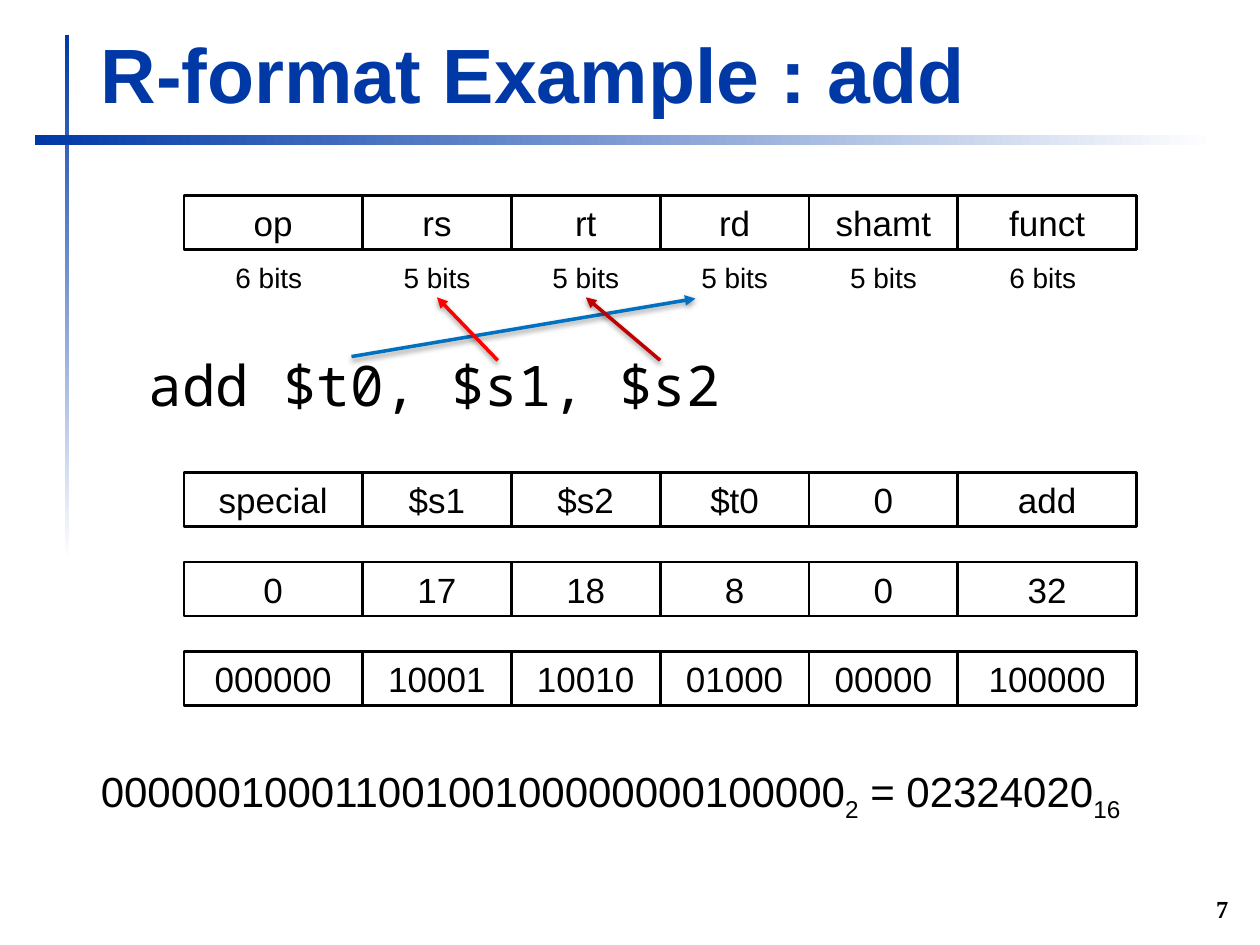
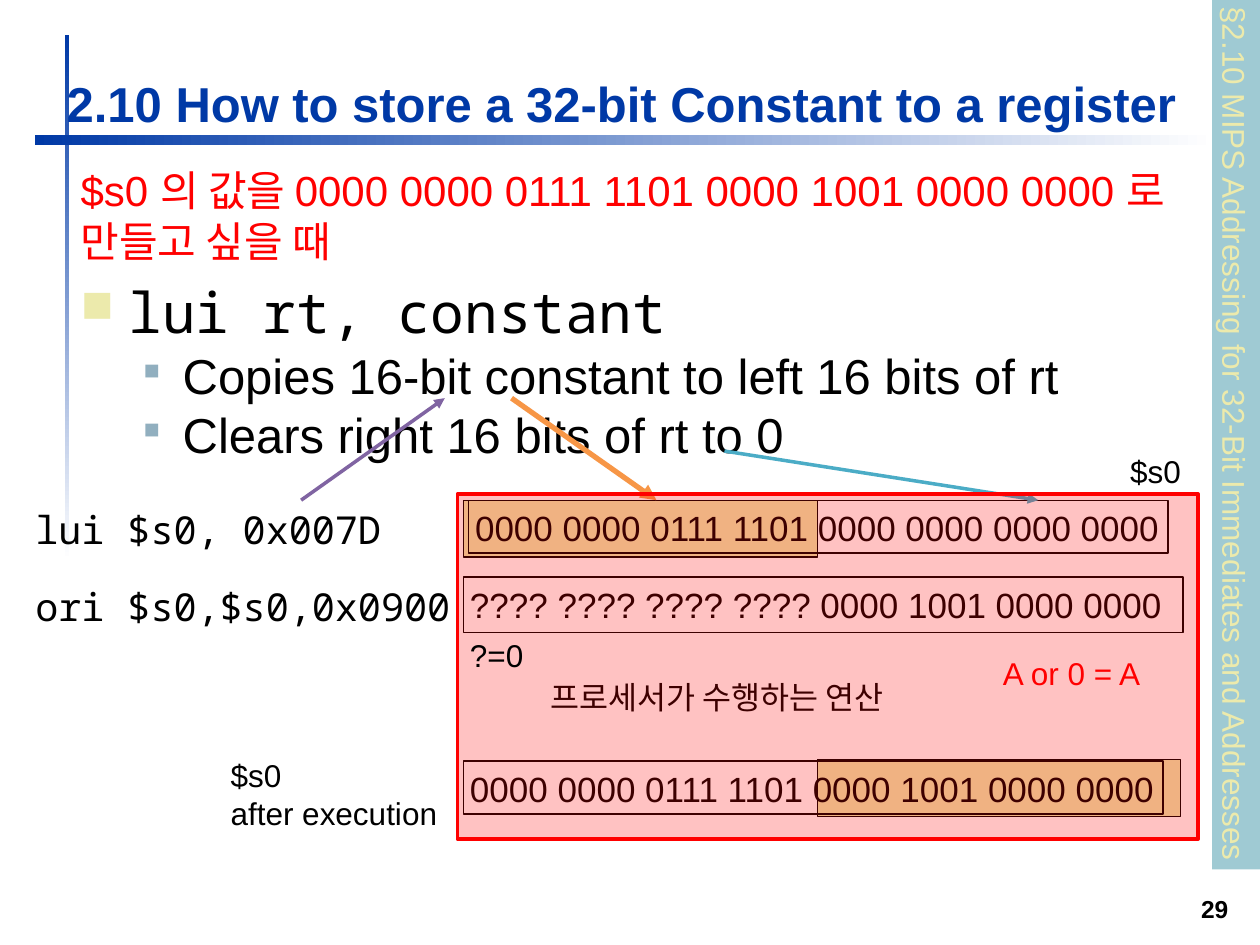
"""Build two MIPS lecture slides: an R-format example and loading a 32-bit constant."""
from dataclasses import dataclass

from lxml import etree
from pptx import Presentation
from pptx import util as u
from pptx.dml.color import RGBColor
from pptx.enum import shapes, text
from pptx.oxml import ns


@dataclass(frozen=True)
class Theme:
    sans: str = "Arial"
    mono: str = "Noto Sans Mono"
    serif: str = "Times New Roman"
    navy: str = "0039A6"
    white: str = "FFFFFF"
    black: str = "000000"
    red: str = "FF0000"
    maroon: str = "C00000"
    blue: str = "0070C0"
    orange: str = "F79646"
    aqua: str = "4BACC6"
    purple: str = "8064A2"
    cream: str = "ECEAAC"
    slate: str = "91AFBF"
    teal: str = "9FCAD3"
    title: int = 44
    code: int = 32
    head: int = 28
    lead: int = 24
    asm: int = 22
    cell: int = 20
    note: int = 18
    bits: int = 16
    page: int = 14


T = Theme()
deck = Presentation()
deck.slide_width, deck.slide_height = u.Inches(10), u.Inches(7.5)
COL, ROW = deck.slide_width / 100, deck.slide_height / 75
ALIGN = text.PP_ALIGN
TOP, LOW = text.MSO_ANCHOR.TOP, text.MSO_ANCHOR.BOTTOM


def put(page, box, *paras, fill=None, line=None, width=0.75, turn=0, wrap=True, anchor=TOP, **base):
    """Place text in a box of grid units; parts between underscores are subscripts."""
    x, y, w, h = box
    area = round(x * COL), round(y * ROW), round(w * COL), round(h * ROW)
    if fill or line:
        shape = page.shapes.add_shape(shapes.MSO_SHAPE.RECTANGLE, *area)
        shape.shadow.inherit = False
        if fill:
            shape.fill.solid()
            shape.fill.fore_color.rgb = RGBColor.from_string(fill)
        else:
            shape.fill.background()
        if line:
            shape.line.color.rgb = RGBColor.from_string(line)
            shape.line.width = u.Pt(width)
        else:
            shape.line.fill.background()
    else:
        shape = page.shapes.add_textbox(*area)
    shape.rotation = turn
    frame = shape.text_frame
    frame.word_wrap, frame.vertical_anchor = wrap, anchor
    frame.margin_left = frame.margin_right = frame.margin_top = frame.margin_bottom = u.Inches(0.05)
    for i, para in enumerate(paras):
        words, own = para if isinstance(para, tuple) else (para, {})
        fmt = {**base, **own}
        p = frame.paragraphs[0] if i == 0 else frame.add_paragraph()
        prop = p._p.get_or_add_pPr()
        prop.set("marL", str(u.Inches(fmt.get("left", 0))))
        prop.set("indent", str(u.Inches(-fmt.get("hang", 0))))
        if "dot" in fmt:
            tint = etree.SubElement(prop, ns.qn("a:buClr"))
            etree.SubElement(tint, ns.qn("a:srgbClr"), val=fmt["dot"])
            etree.SubElement(prop, ns.qn("a:buSzPct"), val=str(fmt["share"] * 1000))
            etree.SubElement(prop, ns.qn("a:buChar"), char="■")
        p.level = fmt.get("level", 0)
        p.alignment = fmt.get("align", ALIGN.LEFT)
        p.space_before = u.Pt(fmt.get("before", 0))
        for j, part in enumerate(words.split("_")):
            if part:
                run = p.add_run()
                run.text = part
                run.font.name, run.font.size = fmt.get("font", T.sans), u.Pt(fmt["size"])
                run.font.bold = fmt.get("bold", False)
                run.font.color.rgb = RGBColor.from_string(fmt.get("color", T.black))
                if j % 2:
                    run.font._element.set("baseline", "-25000")
    return shape


def arrow(page, start, end, hue, width=2, glow=False, goal=None):
    """Draw an arrow between grid points, joined to the bottom of a goal if given."""
    (a, b), (c, d) = start, end
    link = page.shapes.add_connector(shapes.MSO_CONNECTOR.STRAIGHT, round(a * COL), round(b * ROW),
                                     round(c * COL), round(d * ROW))
    if goal is not None:
        link.end_connect(goal, 2)
    link.line.color.rgb = RGBColor.from_string(hue)
    link.line.width = u.Pt(width)
    etree.SubElement(link.line._get_or_add_ln(), ns.qn("a:tailEnd"), type="triangle")
    effect = etree.SubElement(link.element.spPr, ns.qn("a:effectLst"))
    if glow:
        shade = etree.SubElement(effect, ns.qn("a:outerShdw"), blurRad=str(u.Pt(3)),
                                 dist=str(u.Pt(1.6)), dir="5400000", rotWithShape="0")
        tint = etree.SubElement(shade, ns.qn("a:srgbClr"), val=T.black)
        etree.SubElement(tint, ns.qn("a:alpha"), val="38000")


pages = []
for name, box, size, num, face in (
    ("R-format Example : add", (7.5, 1.6, 90.3, 8.3), T.title, "7", T.serif),
    ("2.10 How to store a 32-bit Constant to a register", (4.8, 2.7, 90.3, 8.3), T.head, "29", T.sans),
):
    page = deck.slides.add_slide(deck.slide_layouts[6])
    pages.append(page)
    for bar, angle in (((5.15, 2.8, 0.35, 41.7), 270), ((2.75, 10.7, 93.7, 0.8), 0)):
        rule = put(page, bar, fill=T.navy)
        rule.fill.gradient()
        rule.fill.gradient_angle = angle
        for stop, hue in zip(rule.fill.gradient_stops, (T.navy, T.white)):
            stop.color.rgb = RGBColor.from_string(hue)
    put(page, (94.7, 70.6, 3.3, 3.2), num, size=T.page, font=face, bold=True,
        align=ALIGN.RIGHT, anchor=LOW, wrap=False)
    put(page, box, name, size=size, color=T.navy, bold=True, anchor=LOW)

first, second = pages

put(first, (7.5, 27.3, 90.5, 7.1), "add $t0, $s1, $s2", size=T.code, font=T.mono, left=0.38)
put(first, (7.5, 60.3, 89, 5.4), "00000010001100100100000000100000_2_ = 02324020_16_", size=T.lead)

BITS = 6, 5, 5, 5, 5, 6
UNIT = 75.6 / sum(BITS)
FIELDS = (
    (15.5, "op rs rt rd shamt funct"),
    (37.5, "special $s1 $s2 $t0 0 add"),
    (44.6, "0 17 18 8 0 32"),
    (51.7, "000000 10001 10010 01000 00000 100000"),
)
sizes = []
for i, n in enumerate(BITS):
    x, w = 14.6 + UNIT * sum(BITS[:i]), UNIT * n
    for y, row in FIELDS:
        put(first, (x, y, w, 4.3), row.split()[i], size=T.cell, align=ALIGN.CENTER,
            line=T.black, width=1.5)
    nudge = 0.35 * (n - 5)
    sizes.append(put(first, (x + w / 2 - 3.25 - nudge, 20.2, 6.5, 3.4), f"{n} bits", size=T.bits,
                     align=ALIGN.CENTER, wrap=False))
for start, end, hue, goal in (
    ((27.9, 28.3), (55.2, 23.7), T.blue, None),
    ((39.5, 28.6), (34.8, 23.7), T.red, sizes[1]),
    ((52.4, 28.6), (46.6, 23.7), T.maroon, sizes[2]),
):
    arrow(first, start, end, hue, glow=True, goal=goal)

LEFT = 36.8
thin = dict(size=T.cell, line=T.black)
put(second, (LEFT, 39.7, 28.1, 4.5), fill=T.cream, line=T.black)
put(second, (37.2, 39.7, 55.5, 4.2), "0000 0000 0111 1101 0000 0000 0000 0000", **thin)
put(second, (64.9, 60.3, 28.8, 4.5), fill=T.cream, line=T.black)
item = dict(size=T.head, level=1, left=0.81, hang=0.31, dot=T.slate, share=45)
put(second, (5.9, 12.6, 90.5, 37.8),
    ("$s0 의 값을 0000 0000 0111 1101 0000 1001 0000 0000 로 만들고 싶을 때",
     dict(size=T.lead, color=T.red)),
    ("lui rt, constant",
     dict(size=T.code, font=T.mono, left=0.38, hang=0.38, before=7, dot=T.cream, share=80)),
    ("Copies 16-bit constant to left 16 bits of rt", item),
    ("Clears right 16 bits of rt to 0", item))
put(second, (LEFT, 60.4, 55.5, 4.2), "0000 0000 0111 1101 0000 1001 0000 0000", **thin)
for y, w, code in ((39.7, 28.9, "lui $s0, 0x007D"), (45.8, 34.5, "ori $s0,$s0,0x0900")):
    put(second, (2.3, y, w, 4.7), code, size=T.asm, font=T.mono)
put(second, (63.6, 32.6, 69, 3.8), "§2.10 MIPS Addressing for 32-Bit Immediates and Addresses",
    size=T.note, color=T.cream, fill=T.teal, turn=90)
put(second, (89.2, 35.4, 5.2, 3.8), "$s0", size=T.note, wrap=False)
put(second, (79.1, 51.4, 14.6, 4), "A or 0 = A", size=T.note, color=T.red)
arrow(second, (40.6, 31.6), (52.1, 39.7), T.orange, width=3)
arrow(second, (57.5, 35.8), (82.4, 39.7), T.aqua)
put(second, (LEFT, 45.8, 57.1, 4.4), "???? ???? ???? ???? 0000 1001 0000 0000", **thin)
put(second, (17.8, 59.5, 17.6, 7.1), "$s0", "after execution", size=T.note)
put(second, (43.2, 53.3, 30.9, 4), "프로세서가 수행하는 연산", size=T.note)
panel = put(second, (36.3, 39.2, 58.8, 27.4), fill=T.red, line=T.red, width=2)
tint = panel.element.spPr.find(".//" + ns.qn("a:srgbClr"))
etree.SubElement(tint, ns.qn("a:alpha"), val="24000")
arrow(second, (23.9, 39.7), (35.3, 31.6), T.purple)
put(second, (LEFT, 50, 5.3, 4), "?=0", size=T.note, wrap=False)

deck.save("out.pptx")
